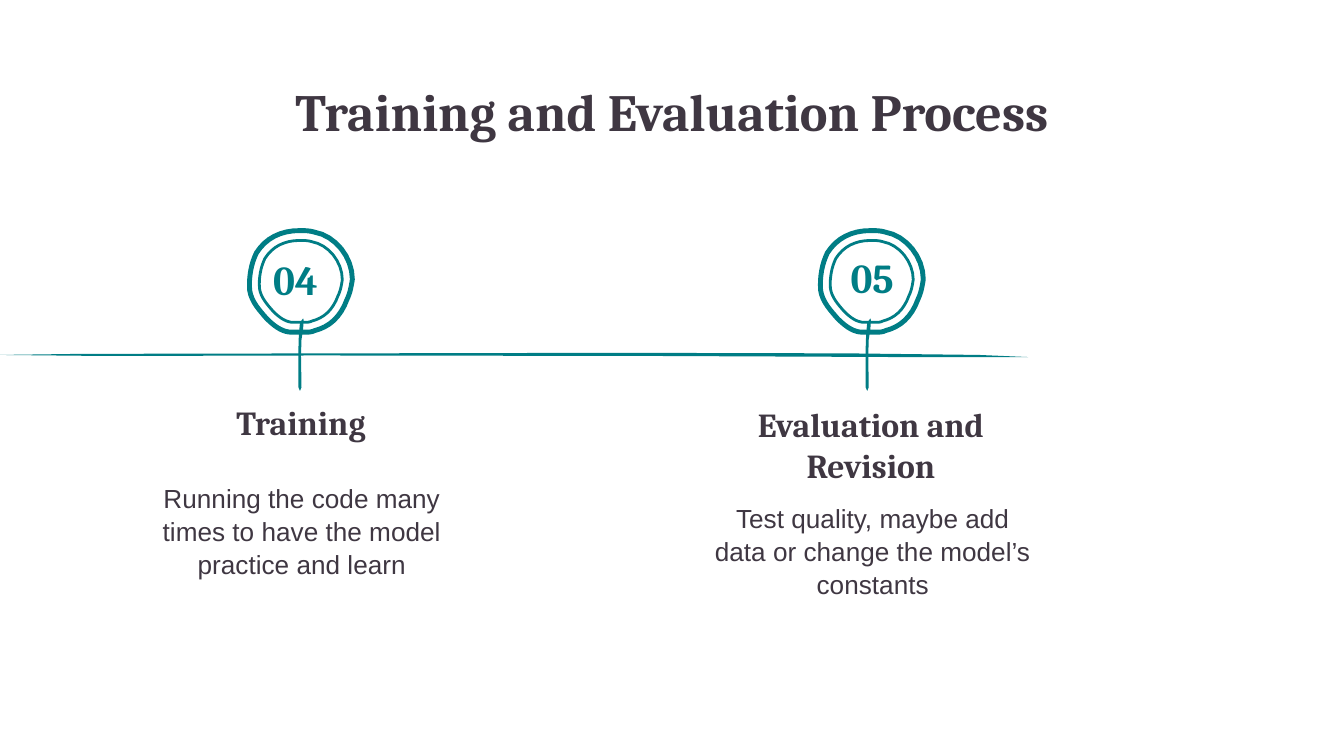
from pptx import Presentation
from pptx.dml.color import RGBColor
from pptx.enum.text import MSO_ANCHOR, PP_ALIGN
from pptx.util import Cm, Pt

TEAL = RGBColor(0x00, 0x7D, 0x85)
DARK = RGBColor(0x3F, 0x37, 0x42)

TITLE = {"name": "Cambria", "size": Pt(28), "bold": True}
HEAD = {"name": "Cambria", "size": Pt(18), "bold": True}
NUMBER = {"name": "Cambria", "size": Pt(22), "bold": True}
BODY = {"name": "Arial", "size": Pt(14), "bold": False}
FRAME = {"word_wrap": True, "vertical_anchor": MSO_ANCHOR.TOP,
         "margin_left": Cm(0.25), "margin_right": Cm(0.25),
         "margin_top": Cm(0.25), "margin_bottom": Cm(0.25)}
PLAIN = {"alignment": PP_ALIGN.CENTER}
LOOSE = {"alignment": PP_ALIGN.CENTER, "line_spacing": 1.05, "space_after": Pt(16)}

START = (-0.65, 0.72)
CURVES = [
    ((-0.47, 0.9), (-0.32, 0.98), (-0.17, 0.98)),
    ((-0.05, 0.98), (0, 0.98), (0.09, 0.98)),
    ((0.14, 0.98), (0.22, 0.98), (0.27, 0.95)),
    ((0.55, 0.88), (0.77, 0.7), (0.9, 0.34)),
    ((0.95, 0.24), (0.98, 0.11), (1, -0.04)),
    ((1, -0.47), (0.67, -0.88), (0.27, -0.95)),
    ((0.17, -0.98), (0.06, -0.98), (-0.01, -0.98)),
    ((-0.39, -0.98), (-0.67, -0.83), (-0.85, -0.55)),
    ((-0.95, -0.34), (-1, -0.09), (-0.98, 0.17)),
    ((-0.95, 0.39), (-0.78, 0.57), START),
]
AXIS = [(0, 6.71), (1.5, 6.69), (11.7, 6.67), (16, 6.68), (18.5, 6.71),
        (19.43, 6.75), (17, 6.75), (12.5, 6.73), (6, 6.72), (2, 6.73)]
TICK = [(0.09, 0), (0.03, 0.08), (0.01, 0.3), (0, 0.6), (0, 1.3), (0.03, 1.37),
        (0.06, 1.3), (0.05, 0.7), (0.06, 0.4), (0.09, 0.2), (0.1, 0.03)]

STAGES = [
    {"ring": (5.68, 5.32), "tick": (5.64, 6.02),
     "number": ("04", (4.72, 4.57, 1.73, 1.45)),
     "head": ("Training", (2.06, 7.34, 7.26, 1.96)),
     "body": ("Running the code many times to have the model practice and learn",
              (2.34, 8.84, 6.73, 3.58))},
    {"ring": (16.47, 5.32), "tick": (16.36, 6.02),
     "number": ("05", (15.62, 4.52, 1.73, 1.45)),
     "head": ("Evaluation and Revision", (12.83, 7.39, 7.26, 1.96)),
     "body": ("Test quality, maybe add data or change the model’s constants",
              (13.13, 9.22, 6.73, 3.58))},
]


def apply(item, values):
    for key, value in values.items():
        setattr(item, key, value)


def add_text(slide, text, box, font, color=DARK, para=PLAIN):
    frame = slide.shapes.add_textbox(*map(Cm, box)).text_frame
    apply(frame, FRAME)
    line = frame.paragraphs[0]
    apply(line, para)
    run = line.add_run()
    run.text = text
    apply(run.font, font)
    run.font.color.rgb = color


def trace(scale, steps=8):
    dots = [START]
    for one, two, end in CURVES:
        first = dots[-1]
        for step in range(1, steps + 1):
            t = step / steps
            u = 1 - t
            dots.append(tuple(
                u**3 * a + 3 * u * u * t * b + 3 * u * t * t * c + t**3 * d
                for a, b, c, d in zip(first, one, two, end)))
    return [(x * scale, y * scale) for x, y in dots]


def add_path(slide, loops, origin=(0, 0)):
    left, top = origin
    pen = None
    for loop in loops:
        dots = [(Cm(left + x), Cm(top + y)) for x, y in loop]
        if pen is None:
            pen = slide.shapes.build_freeform(*dots[0])
        else:
            pen.move_to(*dots[0])
        pen.add_line_segments(dots[1:], close=True)
    shape = pen.convert_to_shape()
    shape.shadow.inherit = False
    return shape


def add_stroke(slide, dots, origin=(0, 0)):
    shape = add_path(slide, [dots], origin)
    shape.fill.solid()
    shape.fill.fore_color.rgb = TEAL
    shape.line.fill.background()


def add_ring(slide, scales, center):
    shape = add_path(slide, [trace(scale) for scale in scales], center)
    shape.fill.background()
    shape.line.color.rgb = TEAL
    shape.line.width = Pt(1.5)


def add_stage(slide, stage):
    add_text(slide, *stage["head"], HEAD)
    add_text(slide, *stage["body"], BODY, para=LOOSE)
    add_stroke(slide, TICK, stage["tick"])
    add_ring(slide, (1, 0.96), stage["ring"])
    add_ring(slide, (0.79,), stage["ring"])
    add_text(slide, *stage["number"], NUMBER, TEAL)


def main():
    deck = Presentation()
    apply(deck, {"slide_width": Cm(25.4), "slide_height": Cm(14.29)})
    slide = deck.slides.add_slide(deck.slide_layouts[6])
    add_text(slide, "Training and Evaluation Process", (1.98, 1.24, 21.44, 1.6), TITLE)
    add_stroke(slide, AXIS)
    for stage in STAGES:
        add_stage(slide, stage)
    deck.save("out.pptx")


if __name__ == "__main__":
    main()
